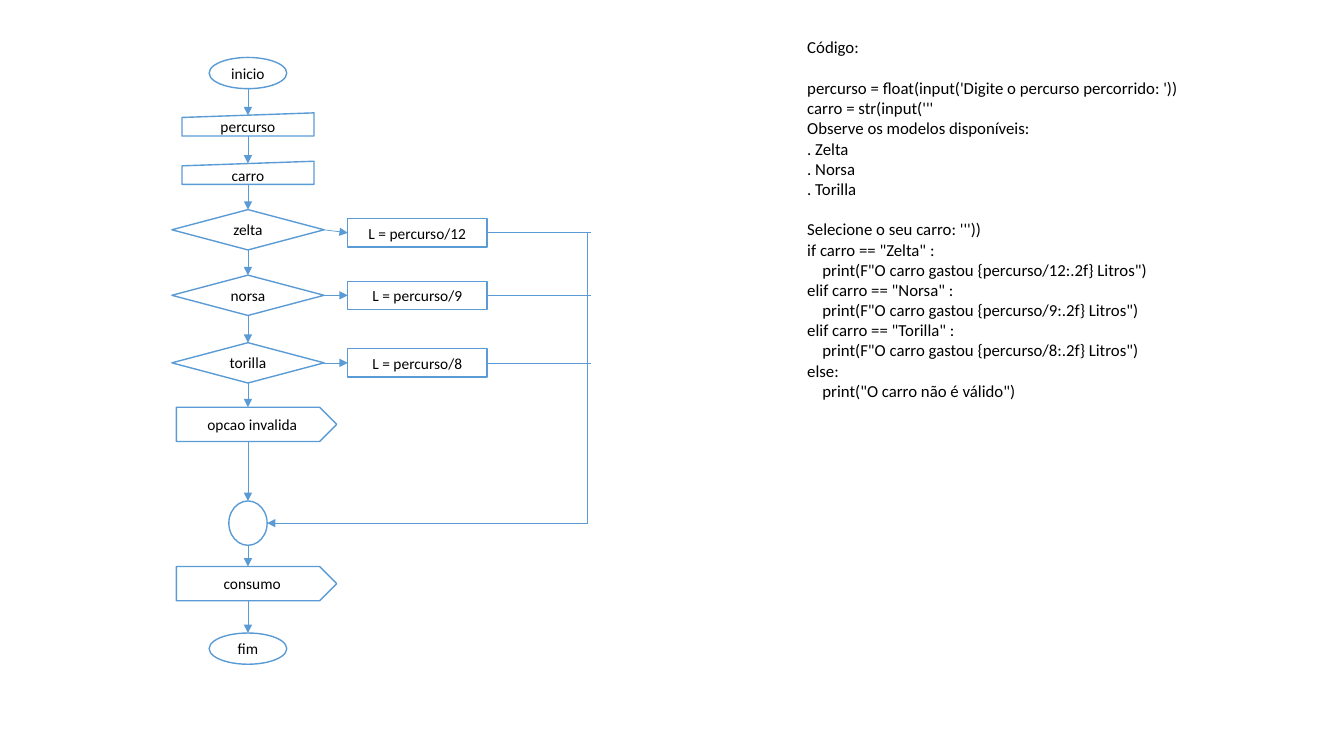
import pptx
import pptx.dml.color
import pptx.enum.shapes
import pptx.enum.text
import pptx.oxml
import pptx.util
import lxml.etree

SHAPES = pptx.enum.shapes.MSO_SHAPE
CONNECTORS = pptx.enum.shapes.MSO_CONNECTOR
ANCHORS = pptx.enum.text.MSO_ANCHOR
ALIGNMENTS = pptx.enum.text.PP_ALIGN
NAMESPACE = "http://schemas.openxmlformats.org/drawingml/2006/main"

BLUE, WHITE, BLACK = "5B9BD5", "FFFFFF", "000000"

# The slide is a grid of cells, each a tenth of an inch
CELL = 0.1
COLUMNS, ROWS = 133.33, 75
FLOW_AXIS = 24.6
CALCULATION_LEFT = 34.5
RETURN_END = 58.6

# Kind of step: shape, width, height, axis from left, drop of the top edge
KINDS = {
    "terminal": (SHAPES.OVAL, 7.7, 3.1, 3.85, 0),
    "input": (SHAPES.FLOWCHART_MANUAL_INPUT, 13.1, 2.3, 6.55, 0.23),
    "decision": (SHAPES.FLOWCHART_DECISION, 15.1, 4, 7.55, 0),
    "output": (SHAPES.PENTAGON, 15.9, 3.4, 7.1, 0),
    "junction": (SHAPES.FLOWCHART_CONNECTOR, 3.8, 4.4, 1.9, 0),
    "calculation": (SHAPES.RECTANGLE, 13.8, 2.8, 0, 0),
}

# Steps down the main axis: label, kind, top row
STEPS = [
    ("inicio", "terminal", 5.7),
    ("percurso", "input", 11.2),
    ("carro", "input", 16),
    ("zelta", "decision", 20.8),
    ("norsa", "decision", 27.3),
    ("torilla", "decision", 34),
    ("opcao invalida", "output", 40.4),
    ("", "junction", 49.7),
    ("consumo", "output", 56.2),
    ("fim", "terminal", 62.8),
]

# Calculation beside each decision: label, middle row
CALCULATIONS = {
    "zelta": ("L = percurso/12", 23.1),
    "norsa": ("L = percurso/9", 29.3),
    "torilla": ("L = percurso/8", 36),
}

# Code: text, indent level, blank lines before
CODE = [
    ("Código:", 0, 0),
    ("percurso = float(input('Digite o percurso percorrido: '))", 0, 1),
    ("carro = str(input('''", 0, 0),
    ("Observe os modelos disponíveis:", 0, 0),
    (". Zelta", 0, 0),
    (". Norsa", 0, 0),
    (". Torilla", 0, 0),
    ("Selecione o seu carro: '''))", 0, 1),
    ('if carro == "Zelta" :', 0, 0),
    ('print(F"O carro gastou {percurso/12:.2f} Litros")', 1, 0),
    ('elif carro == "Norsa" :', 0, 0),
    ('print(F"O carro gastou {percurso/9:.2f} Litros")', 1, 0),
    ('elif carro == "Torilla" :', 0, 0),
    ('print(F"O carro gastou {percurso/8:.2f} Litros")', 1, 0),
    ("else:", 0, 0),
    ('print("O carro não é válido")', 1, 0),
]


def cells(count):
    return pptx.util.Inches(count * CELL)


def color(value):
    return pptx.dml.color.RGBColor.from_string(value)


def write(paragraph, text, size=11, align=ALIGNMENTS.LEFT, indent=0, before=0):
    paragraph.alignment = align
    paragraph.space_before = pptx.util.Pt(before)
    if indent:
        properties = paragraph._p.get_or_add_pPr()
        properties.set("marL", str(pptx.util.Pt(indent)))
        properties.set("indent", "0")
    run = paragraph.add_run()
    run.text = text
    run.font.name = "Calibri"
    run.font.size = pptx.util.Pt(size)
    run.font.color.rgb = color(BLACK)


def add_box(slide, label, kind, left, top):
    geometry, width, height = KINDS[kind][:3]
    shape = slide.shapes.add_shape(
        geometry, cells(left), cells(top), cells(width), cells(height))
    shape.shadow.inherit = False
    shape.fill.solid()
    shape.fill.fore_color.rgb = color(WHITE)
    shape.line.color.rgb = color(BLUE)
    shape.line.width = pptx.util.Pt(1)
    if label:
        shape.text_frame.vertical_anchor = ANCHORS.MIDDLE
        shape.text_frame.word_wrap = True
        write(shape.text_frame.paragraphs[0], label, align=ALIGNMENTS.CENTER)


def add_line(slide, start, end, arrow=True, bend=None):
    kind = CONNECTORS.STRAIGHT if bend is None else CONNECTORS.ELBOW
    connector = slide.shapes.add_connector(
        kind, *(cells(value) for value in start + end))
    connector.line.color.rgb = color(BLUE)
    connector.line.width = pptx.util.Pt(0.5)
    properties = connector._element.spPr
    if arrow:
        tail = lxml.etree.SubElement(connector.line._get_or_add_ln(), f"{{{NAMESPACE}}}tailEnd")
        tail.set("type", "triangle")
    lxml.etree.SubElement(properties, f"{{{NAMESPACE}}}effectLst")
    if bend is not None:
        geometry = properties.find(f"{{{NAMESPACE}}}prstGeom")
        for old in list(geometry):
            geometry.remove(old)
        geometry.append(pptx.oxml.parse_xml(
            f'<a:avLst xmlns:a="{NAMESPACE}">'
            f'<a:gd name="adj1" fmla="val {round(bend * 100000)}"/></a:avLst>'))


def add_main_flow(slide):
    previous_bottom = None
    for label, kind, top in STEPS:
        _, _, height, axis, drop = KINDS[kind]
        add_box(slide, label, kind, FLOW_AXIS - axis, top)
        if previous_bottom is not None:
            add_line(slide, (FLOW_AXIS, previous_bottom), (FLOW_AXIS, top + drop))
        previous_bottom = top + height


def add_branches(slide):
    _, width, height, _, _ = KINDS["calculation"]
    _, _, decision_height, decision_axis, _ = KINDS["decision"]
    right = CALCULATION_LEFT + width
    for step, _, top in STEPS:
        if step in CALCULATIONS:
            label, middle = CALCULATIONS[step]
            add_box(slide, label, "calculation", CALCULATION_LEFT, middle - height / 2)
            add_line(slide, (FLOW_AXIS + decision_axis, top + decision_height / 2),
                     (CALCULATION_LEFT, middle))
            add_line(slide, (right, middle), (RETURN_END, middle), arrow=False)


def add_return(slide):
    _, _, height, axis, _ = KINDS["junction"]
    top = next(top for _, kind, top in STEPS if kind == "junction")
    first_row = CALCULATIONS["zelta"][1]
    add_line(slide, (RETURN_END, first_row),
             (FLOW_AXIS + axis, top + height / 2), bend=0.01)


def add_code(slide):
    box = slide.shapes.add_textbox(cells(79.1), cells(3.2), cells(39.1), cells(37.4))
    frame = box.text_frame
    frame.word_wrap = False
    for number, (text, level, blank_lines) in enumerate(CODE):
        paragraph = frame.add_paragraph() if number else frame.paragraphs[0]
        write(paragraph, text, size=12, indent=level * 10.85, before=blank_lines * 14.6)


def main():
    presentation = pptx.Presentation()
    presentation.slide_width = cells(COLUMNS)
    presentation.slide_height = cells(ROWS)
    slide = presentation.slides.add_slide(presentation.slide_layouts[6])
    add_main_flow(slide)
    add_branches(slide)
    add_return(slide)
    add_code(slide)
    presentation.save("out.pptx")


if __name__ == "__main__":
    main()
